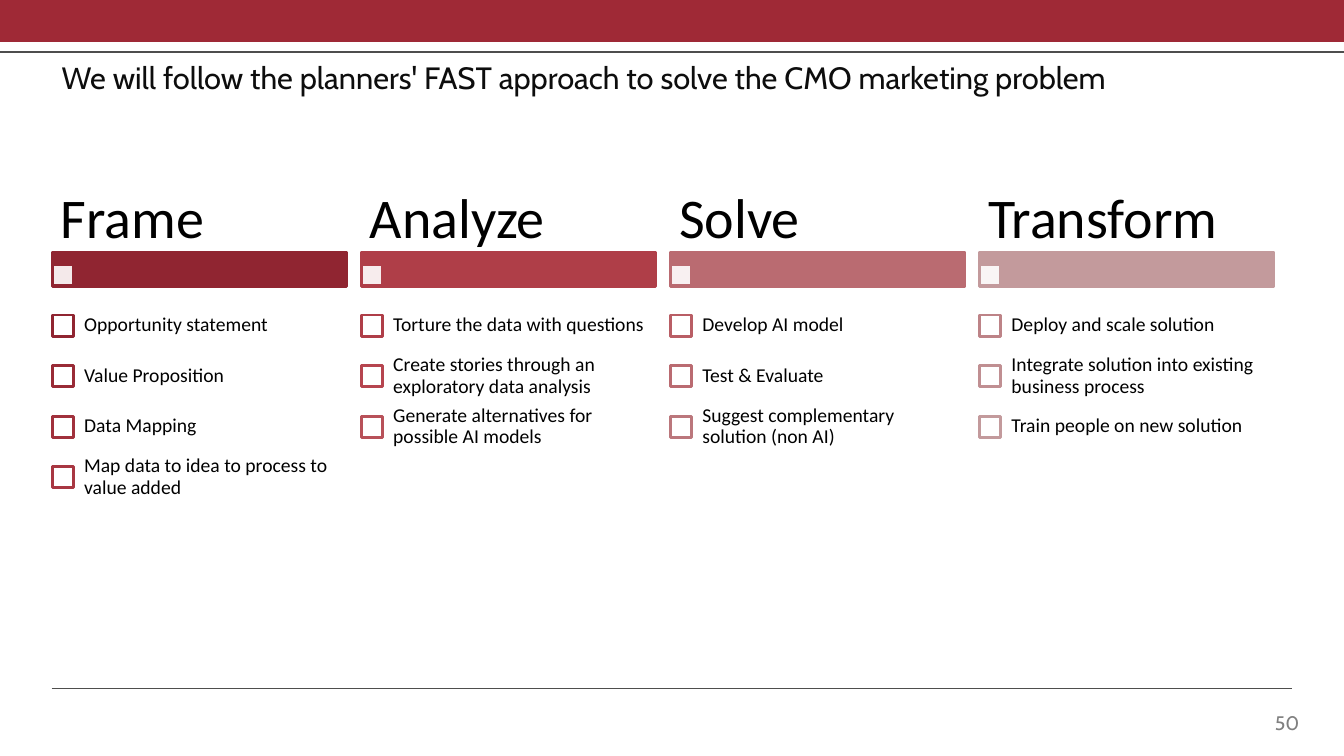
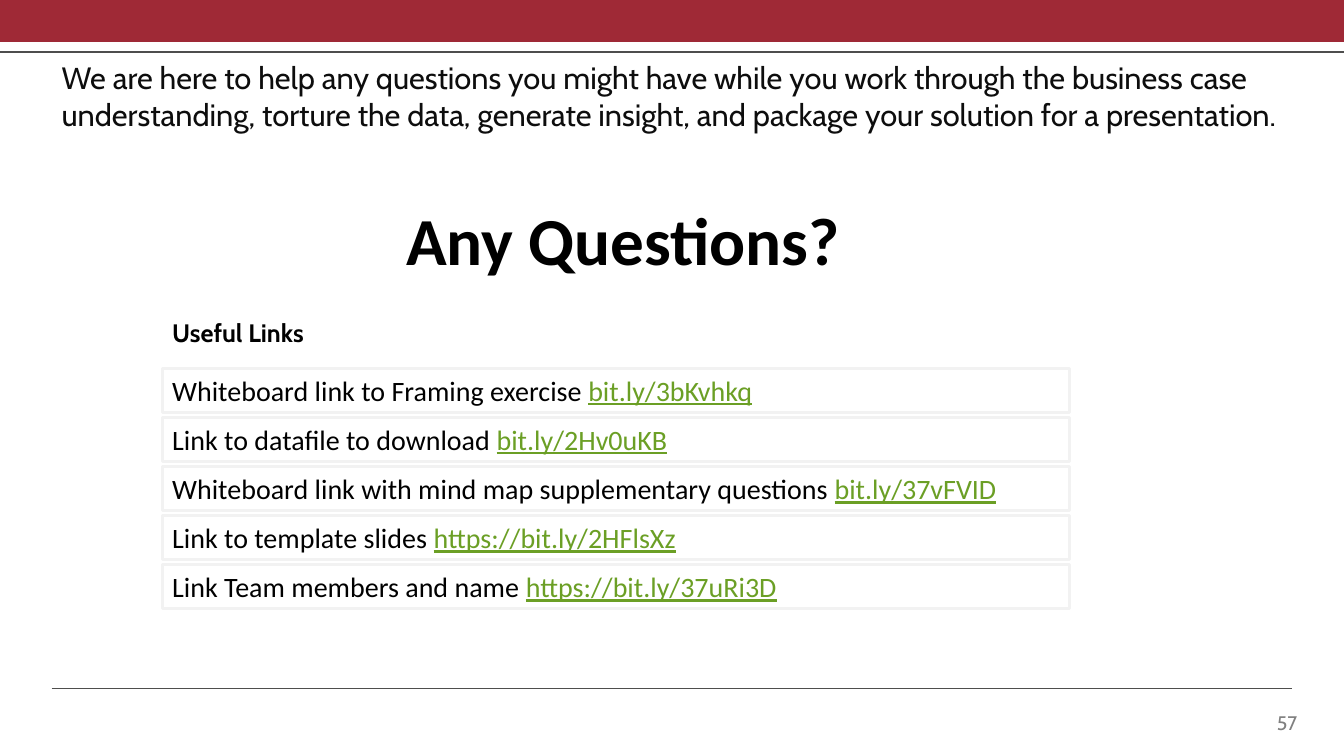
from dataclasses import dataclass

from lxml.etree import SubElement
from pptx import Presentation
from pptx.dml.color import RGBColor
from pptx.enum.shapes import MSO_CONNECTOR as CONNECTOR, MSO_SHAPE as SHAPE
from pptx.enum.text import MSO_ANCHOR as ANCHOR, MSO_AUTO_SIZE as AUTO_SIZE, PP_ALIGN as ALIGN
from pptx.oxml.ns import qn
from pptx.util import Pt

FAST_TITLE = "We will follow the planners' FAST approach to solve the CMO marketing problem"
FAST_PAGE = "50"
FAST_STEPS = [
    ("Frame", ["Opportunity statement", "Value Proposition", "Data Mapping",
               "Map data to idea to process to value added"]),
    ("Analyze", ["Torture the data with questions",
                 "Create stories through an exploratory data analysis",
                 "Generate alternatives for possible AI models"]),
    ("Solve", ["Develop AI model", "Test & Evaluate",
               "Suggest complementary solution (non AI)"]),
    ("Transform", ["Deploy and scale solution",
                   "Integrate solution into existing business process",
                   "Train people on new solution"]),
]

HELP_TITLE = ("We are here to help any questions you might have while you work through the "
              "business case understanding, torture the data, generate insight, and package "
              "your solution for a presentation.")
HELP_PAGE = "57"
QUESTION = "Any Questions?"
LINKS_HEADING = "Useful Links"
LINKS = [
    ("Whiteboard link to Framing exercise ", "bit.ly/3bKvhkq"),
    ("Link to datafile to download ", "bit.ly/2Hv0uKB"),
    ("Whiteboard link with mind map supplementary questions ", "bit.ly/37vFVID"),
    ("Link to template slides ", "https://bit.ly/2HFlsXz"),
    ("Link Team members and name ", "https://bit.ly/37uRi3D"),
]


@dataclass(frozen=True)
class Theme:
    head_font: str = "Cabin"
    body_font: str = "Calibri"
    band: str = "9F2936"
    rule: str = "4E4E4D"
    title: str = "0D0D0D"
    text: str = "000000"
    page: str = "808080"
    paper: str = "FFFFFF"
    frame: str = "F2F2F2"
    link: str = "6B9F25"
    # One shade per checklist item; every fourth also colours a step's bar
    ramp: tuple = ("902531", "992B36", "A1313C", "A83742", "AF3E48", "B6454F", "B85159",
                   "B95E65", "BA6B71", "BB777C", "BD8387", "C08F92", "C39A9C")
    title_size: int = 22
    small_size: int = 14
    heading_size: int = 18
    link_size: int = 20
    step_size: int = 40
    question_size: int = 48
    outline: int = 2


THEME = Theme()
WIDTH, HEIGHT = 960, 540
MARGIN = 36.8


def rgb(value):
    return RGBColor.from_string(value)


def write(frame, *runs, size=THEME.small_size, font=THEME.body_font, color=THEME.text,
          bold=False, align=ALIGN.LEFT, anchor=ANCHOR.TOP, spacing=1.0, insets=(7.2, 3.6)):
    """Fill a text frame; a run is a string or a (string, link colour) pair."""
    frame.word_wrap = True
    frame.auto_size = AUTO_SIZE.NONE
    frame.vertical_anchor = anchor
    frame.margin_left = frame.margin_right = Pt(insets[0])
    frame.margin_top = frame.margin_bottom = Pt(insets[1])
    paragraph = frame.paragraphs[0]
    paragraph.alignment = align
    paragraph.line_spacing = spacing
    for piece in runs:
        text, link_color = (piece, None) if isinstance(piece, str) else piece
        run = paragraph.add_run()
        run.text = text
        run.font.name, run.font.size, run.font.bold = font, Pt(size), bold
        run.font.color.rgb = rgb(link_color or color)
        if link_color:
            run.font.underline = True


def add_label(slide, box, text, **style):
    label = slide.shapes.add_textbox(*map(Pt, box))
    write(label.text_frame, text, **style)


def add_box(slide, box, fill, line=None, opacity=None):
    rect = slide.shapes.add_shape(SHAPE.RECTANGLE, *map(Pt, box))
    rect.shadow.inherit = False
    rect.fill.solid()
    rect.fill.fore_color.rgb = rgb(fill)
    if opacity:
        color = rect._element.spPr.find(qn("a:solidFill")).find(qn("a:srgbClr"))
        SubElement(color, qn("a:alpha")).set("val", str(opacity * 1000))
    if line:
        rect.line.color.rgb = rgb(line)
        rect.line.width = Pt(THEME.outline)
    else:
        rect.line.fill.background()
    return rect


def add_rule(slide, left, right, y, weight):
    rule = slide.shapes.add_connector(CONNECTOR.STRAIGHT, Pt(left), Pt(y), Pt(right), Pt(y))
    rule.line.color.rgb = rgb(THEME.rule)
    rule.line.width = Pt(weight)
    SubElement(rule._element.spPr, qn("a:effectLst"))
    return rule


def dress_layout(layout, slide):
    """Draw the band and rules on the slide, then move them to the layout."""
    decorations = [
        add_box(slide, (0, 0, WIDTH, 30), THEME.band),
        add_rule(slide, 0, WIDTH, 37.2, 1.25),
        add_rule(slide, MARGIN, 923, 491.5, 0.75),
    ]
    for part in decorations:
        layout.shapes._spTree.append(part._element)
    title = layout.placeholders[0]
    title.left, title.top, title.width, title.height = map(Pt, (MARGIN, 38.2, 886.4, 76.3))


def head_slide(slide, title, page):
    write(slide.shapes.title.text_frame, title, size=THEME.title_size,
          font=THEME.head_font, color=THEME.title)
    add_label(slide, (890.6, 504, 57.6, 28.8), page, font=THEME.head_font,
              color=THEME.page, align=ALIGN.CENTER)


def build_fast(slide):
    left, column_pitch, column_width = 37.4, 220.8, 210.3
    bar_top, bar_height, check = 180, 24.7, 15.1
    row_top, row_pitch = 214.5, 36.1
    shades = iter(THEME.ramp)
    for column, (step, items) in enumerate(FAST_STEPS):
        x = left + column * column_pitch
        bar_shade = THEME.ramp[4 * column]
        add_box(slide, (x, bar_top, column_width, bar_height), bar_shade, bar_shade)
        add_box(slide, (x, 188.9, check, check), THEME.paper, bar_shade, opacity=90)
        add_label(slide, (x, 135.4, column_width, 44.6), step, size=THEME.step_size,
                  anchor=ANCHOR.MIDDLE, spacing=0.9, insets=(6, 4))
        for row, item in enumerate(items):
            y = row_top + row * row_pitch
            add_box(slide, (x, y + (row_pitch - check) / 2, check, check),
                    THEME.paper, next(shades))
            add_label(slide, (x + 14.7, y, column_width - 14.7, row_pitch), item,
                      anchor=ANCHOR.MIDDLE, spacing=0.9, insets=(8, 8))


def build_help(slide):
    left, first_top, pitch = 115.9, 263, 35.1
    add_label(slide, (283, 138.2, 378.7, 65.5), QUESTION, size=THEME.question_size, bold=True)
    add_label(slide, (left, 223.2, 268.6, 29), LINKS_HEADING, size=THEME.heading_size,
              font=THEME.head_font, bold=True)
    for row, (label, address) in enumerate(LINKS):
        box = add_box(slide, (left, first_top + row * pitch, 648, 31.5),
                      THEME.paper, THEME.frame)
        write(box.text_frame, label, (address, THEME.link), size=THEME.link_size)


def main():
    deck = Presentation()
    deck.slide_width, deck.slide_height = Pt(WIDTH), Pt(HEIGHT)
    title_only = deck.slide_layouts[5]
    pages = [(FAST_TITLE, FAST_PAGE, build_fast), (HELP_TITLE, HELP_PAGE, build_help)]
    for index, (title, page, build) in enumerate(pages):
        slide = deck.slides.add_slide(title_only)
        if index == 0:
            dress_layout(title_only, slide)
        head_slide(slide, title, page)
        build(slide)
    deck.save("out.pptx")


if __name__ == "__main__":
    main()
